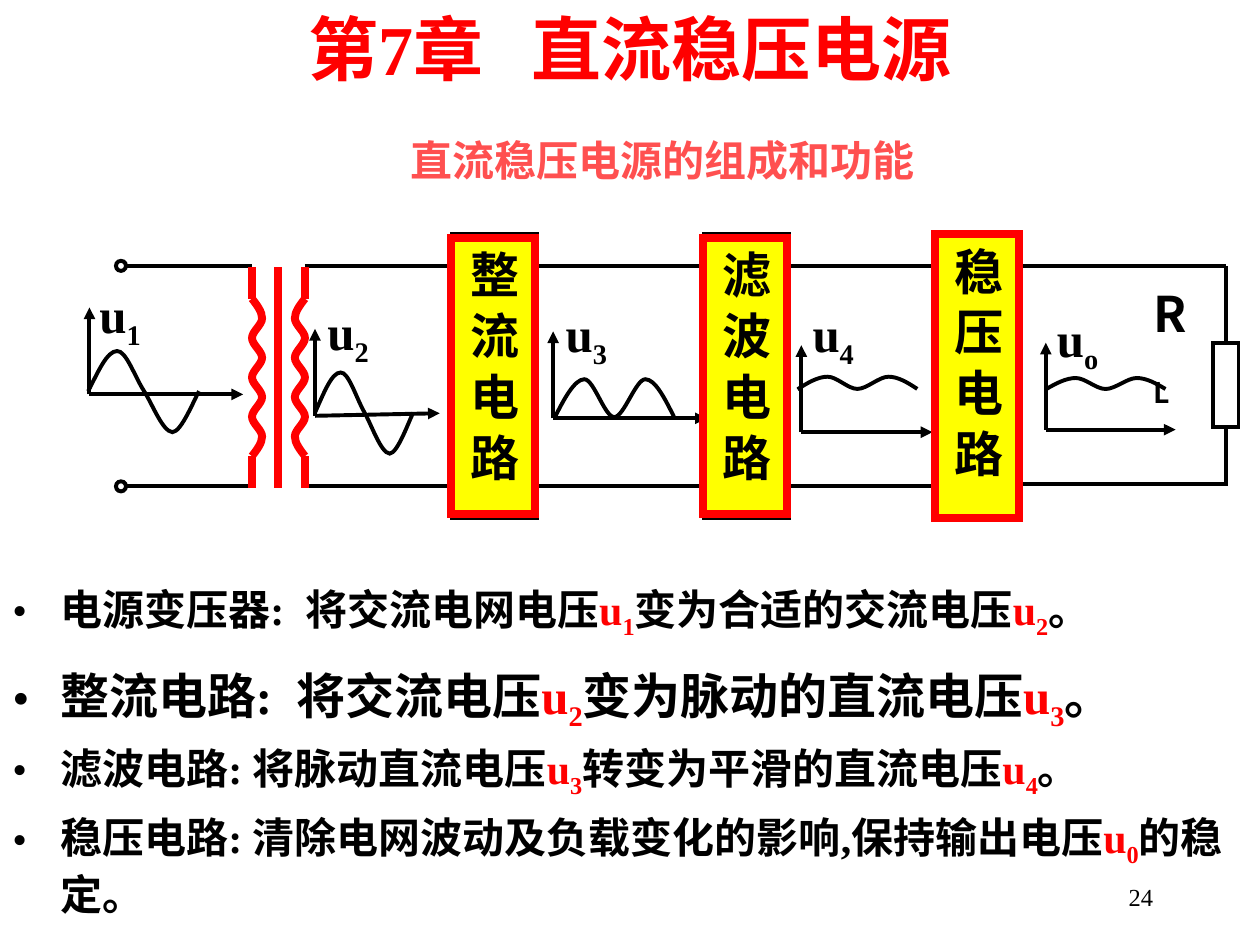
from lxml.etree import SubElement
from pptx import Presentation
from pptx.dml.color import RGBColor
from pptx.enum.shapes import MSO_CONNECTOR, MSO_SHAPE
from pptx.enum.text import MSO_ANCHOR, PP_ALIGN
from pptx.oxml.ns import qn
from pptx.util import Inches, Pt

BLACK = RGBColor(0, 0, 0)
RED = RGBColor(255, 0, 0)
CORAL = RGBColor(255, 80, 80)
YELLOW = RGBColor(255, 255, 0)
WHITE = RGBColor(255, 255, 255)
SERIF, SANS = "Times New Roman", "Noto Sans CJK SC"
THIN, THICK = 2.25, 4.5

TITLE = "第7章   直流稳压电源"
SUBTITLE = "直流稳压电源的组成和功能"
PAGE = "24"

FUNCTIONS = [
    (4.58, 9.99, 0.56, 24, ["电源变压器:  将交流电网电压", "u1", "变为合适的交流电压", "u2", "。"]),
    (5.23, 10.51, 0.63, 28, ["整流电路:  将交流电压", "u2", "变为脉动的直流电压", "u3", "。"]),
    (5.84, 10.05, 0.55, 24, ["滤波电路: 将脉动直流电压", "u3", "转变为平滑的直流电压", "u4", "。"]),
    (6.39, 10.01, 1.11, 24, ["稳压电路: 清除电网波动及负载变化的影响,保持输出电压", "u0", "的稳定。"]),
]

BLOCKS = [
    ("整 流 电 路", 3.58, 1.89, 2.19),
    ("滤 波 电 路", 5.58, 1.89, 2.19),
    ("稳 压 电 路", 7.42, 1.86, 2.25),
]
BLOCK_WIDTH = 0.67
FRAMES = [3.59, 5.59]

TOP, BOTTOM = 2.11, 3.86
WIRES = [(1, 2), (2.42, 3.59), (4.25, 5.59), (6.25, 7.42)]
LOAD_X = 9.73

SINE = [(0, 0.5), (0.09, 0.26), (0.17, 0.01), (0.26, 0.01), (0.34, 0), (0.42, 0.32), (0.5, 0.49),
        (0.58, 0.66), (0.67, 0.99), (0.76, 1), (0.84, 1), (0.96, 0.59), (1, 0.5)]
HUMPS = [(0, 1), (0.08, 0.5), (0.17, 0), (0.25, 0), (0.33, 0), (0.42, 0.97), (0.5, 0.97),
         (0.58, 0.97), (0.68, 0), (0.76, 0), (0.84, 0), (0.92, 0.47), (1, 0.97)]
COIL_STEPS = 24
COIL = [(0.5 if i in (1, COIL_STEPS - 1) else int(i % 6 in (2, 3, 4)), i / COIL_STEPS)
        for i in range(COIL_STEPS + 1)]

AXIS_HEIGHT = 0.69
SIGNALS = [
    ("u1", (0.71, 3.13), (1.93, 3.13), (0.69, 2.21), SINE, (0.7, 2.78, 0.88, 0.65)),
    ("u2", (2.5, 3.3), (3.49, 3.28), (2.5, 2.34), SINE, (2.5, 2.95, 0.78, 0.65)),
    ("u3", (4.39, 3.32), (5.61, 3.32), (4.39, 2.36), HUMPS, (4.4, 3.01, 0.95, 0.31)),
    ("u4", (6.36, 3.43), (7.4, 3.43), (6.35, 2.36), HUMPS, (6.33, 2.99, 0.95, 0.1)),
    ("uo", (8.3, 3.41), (9.33, 3.41), (8.29, 2.4), HUMPS, (8.3, 3, 0.95, 0.09)),
]

deck = Presentation()
deck.slide_width, deck.slide_height = Inches(10), Inches(7.5)
slide = deck.slides.add_slide(deck.slide_layouts[6])
slide.background.fill.solid()
slide.background.fill.fore_color.rgb = WHITE
shapes = slide.shapes


def wire(start, end, color=BLACK, width=THIN, arrow=False):
    line = shapes.add_connector(MSO_CONNECTOR.STRAIGHT, *map(Inches, start + end))
    line.line.color.rgb = color
    line.line.width = Pt(width)
    SubElement(line._element.spPr, qn("a:effectLst"))
    if arrow:
        SubElement(line.line._get_or_add_ln(), qn("a:tailEnd"), type="triangle")
    return line


def outline(shape, color, width, fill=None):
    shape.shadow.inherit = False
    if fill is None:
        shape.fill.background()
    else:
        shape.fill.solid()
        shape.fill.fore_color.rgb = fill
    shape.line.color.rgb = color
    shape.line.width = Pt(width)
    SubElement(shape.line._get_or_add_ln(), qn("a:miter"), lim="800000")
    return shape


def preset(kind, box, color=BLACK, width=THIN, fill=None):
    return outline(shapes.add_shape(kind, *map(Inches, box)), color, width, fill)


def curve(points, box, color=BLACK, width=THIN):
    left, top, across, down = box
    track = [(Inches(left + x * across), Inches(top + y * down)) for x, y in points]
    builder = shapes.build_freeform(*track[0])
    builder.add_line_segments(track[1:], close=False)
    shape = outline(builder.convert_to_shape(), color, width)
    route = shape._element.find(".//" + qn("a:path"))
    segments = route.findall(qn("a:lnTo"))
    for k in range(0, len(segments), 3):
        bezier = SubElement(route, qn("a:cubicBezTo"))
        for segment in segments[k:k + 3]:
            bezier.append(segment[0])
            route.remove(segment)


def style(run, size, color=BLACK, bold=True, font=SERIF, subscript=False):
    run.font.size, run.font.bold, run.font.name = Pt(size), bold, font
    run.font.color.rgb = color
    SubElement(run._r.get_or_add_rPr(), qn("a:ea"), typeface=SANS)
    if subscript:
        run._r.get_or_add_rPr().set("baseline", "-25000")


def symbol(paragraph, name, size, color=BLACK, font=SERIF):
    for index, letter in enumerate(name):
        run = paragraph.add_run()
        run.text = letter
        style(run, size, color, font=font, subscript=index == 1)


def text_box(box, wrap=True):
    frame = shapes.add_textbox(*map(Inches, box)).text_frame
    frame.word_wrap = wrap
    return frame


def plain_text(box, text, size, color, align, bold=True, wrap=True):
    frame = text_box(box, wrap)
    frame.text = text
    frame.paragraphs[0].alignment = align
    style(frame.paragraphs[0].runs[0], size, color, bold)
    return frame


for left in FRAMES:
    preset(MSO_SHAPE.RECTANGLE, (left, 1.86, BLOCK_WIDTH, 2.25))
for y in (TOP, BOTTOM):
    preset(MSO_SHAPE.OVAL, (0.92, y - 0.04, 0.08, 0.08))
    for start, end in WIRES:
        wire((start, y), (end, y))

load = preset(MSO_SHAPE.RECTANGLE, (LOAD_X - 0.1, 2.72, 0.2, 0.67))
wire((8.08, TOP), (LOAD_X, TOP))
wire((8.1, 3.84), (LOAD_X, 3.84))
wire((LOAD_X, TOP), (LOAD_X, 2.72)).end_connect(load, 0)
wire((LOAD_X, 3.39), (LOAD_X, BOTTOM)).begin_connect(load, 2)

for name, origin, axis_end, label, waveform, box in SIGNALS:
    wire(origin, (origin[0], origin[1] - AXIS_HEIGHT), arrow=True)
    wire(origin, axis_end, arrow=True)
    curve(waveform, box)
    symbol(text_box(label + (0.61, 0.63)).paragraphs[0], name, 28)

for text, left, top, height in BLOCKS:
    frame = preset(MSO_SHAPE.RECTANGLE, (left, top, BLOCK_WIDTH, height), RED, THICK, YELLOW).text_frame
    frame.text = text
    frame.word_wrap = True
    frame.vertical_anchor = MSO_ANCHOR.MIDDLE
    frame.margin_left = frame.margin_right = Inches(0.05)
    frame.margin_top = frame.margin_bottom = Inches(0.1)
    frame._txBody.bodyPr.set("vert", "eaVert")
    frame.paragraphs[0].alignment = PP_ALIGN.CENTER
    style(frame.paragraphs[0].runs[0], 28)

for x, bulge in ((2, 0.08), (2.42, -0.08)):
    wire((x, 2.12), (x, 2.37), RED, THICK)
    wire((x, 3.87), (x, 3.62), RED, THICK)
    curve(COIL, (x, 2.37, bulge, 1.25), RED, THICK)
wire((2.21, 2.12), (2.21, 3.87), RED, THICK)

for top, width, height, size, parts in FUNCTIONS:
    paragraph = text_box((0, top, width, height)).paragraphs[0]
    properties = paragraph._p.get_or_add_pPr()
    properties.set("marL", str(Inches(0.38)))
    properties.set("indent", str(Inches(-0.38)))
    bullet_color = SubElement(properties, qn("a:buClr"))
    SubElement(bullet_color, qn("a:srgbClr"), val=str(BLACK))
    SubElement(properties, qn("a:buFont"), typeface=SERIF)
    SubElement(properties, qn("a:buChar"), char="•")
    for index, part in enumerate(parts):
        if index % 2:
            symbol(paragraph, part, size, RED)
        else:
            run = paragraph.add_run()
            run.text = part
            style(run, size)

title = plain_text((0.75, 0, 8.5, 0.75), TITLE, 40, RED, PP_ALIGN.CENTER)
title.vertical_anchor = MSO_ANCHOR.MIDDLE
plain_text((3.16, 1.02, 4.2, 0.5), SUBTITLE, 24, CORAL, PP_ALIGN.LEFT, wrap=False)
plain_text((7.17, 6.95, 2.08, 0.5), PAGE, 14, BLACK, PP_ALIGN.RIGHT, bold=False)
symbol(text_box((9.06, 2.2, 0.57, 0.63)).paragraphs[0], "RL", 28, font=SANS)

deck.save("out.pptx")
